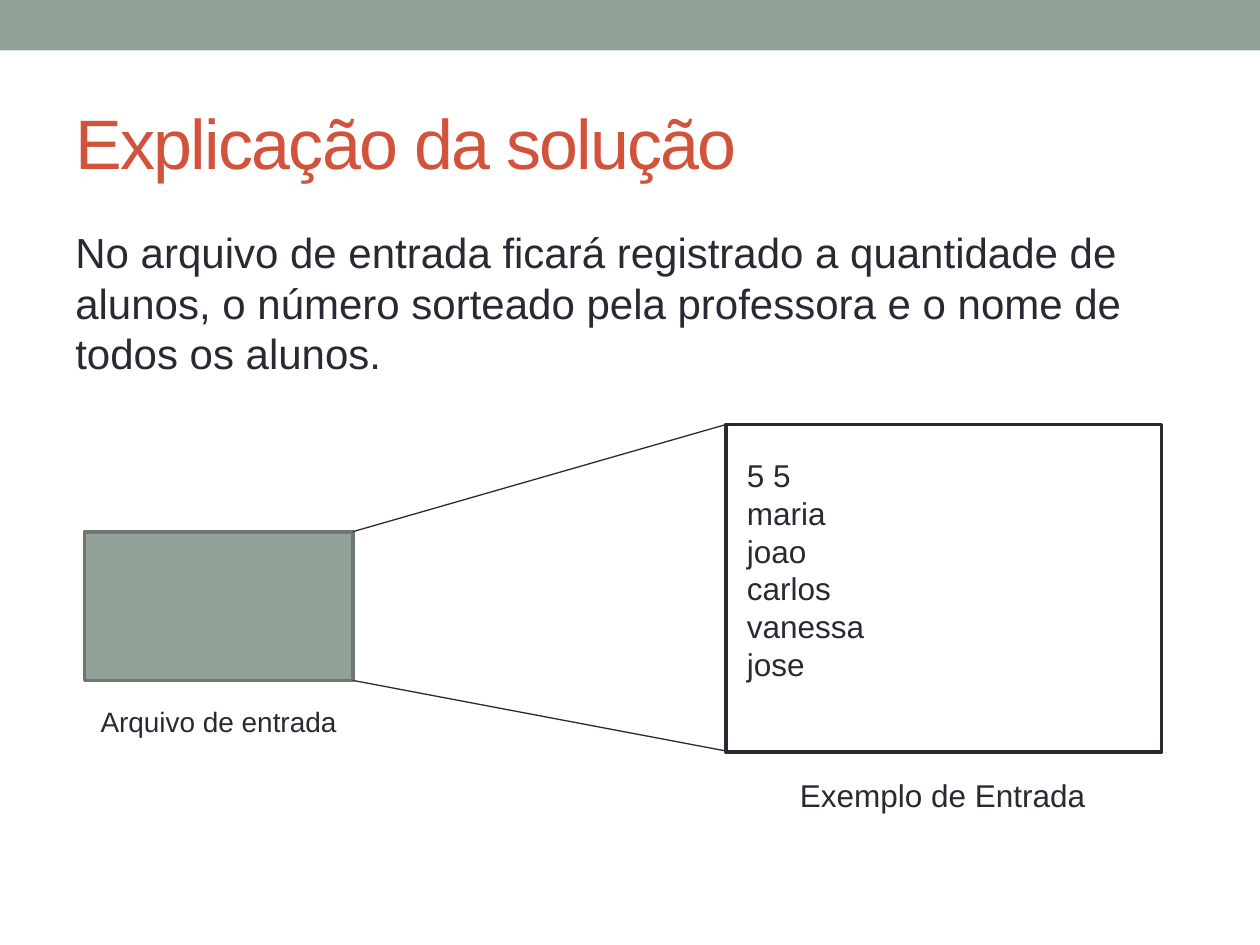
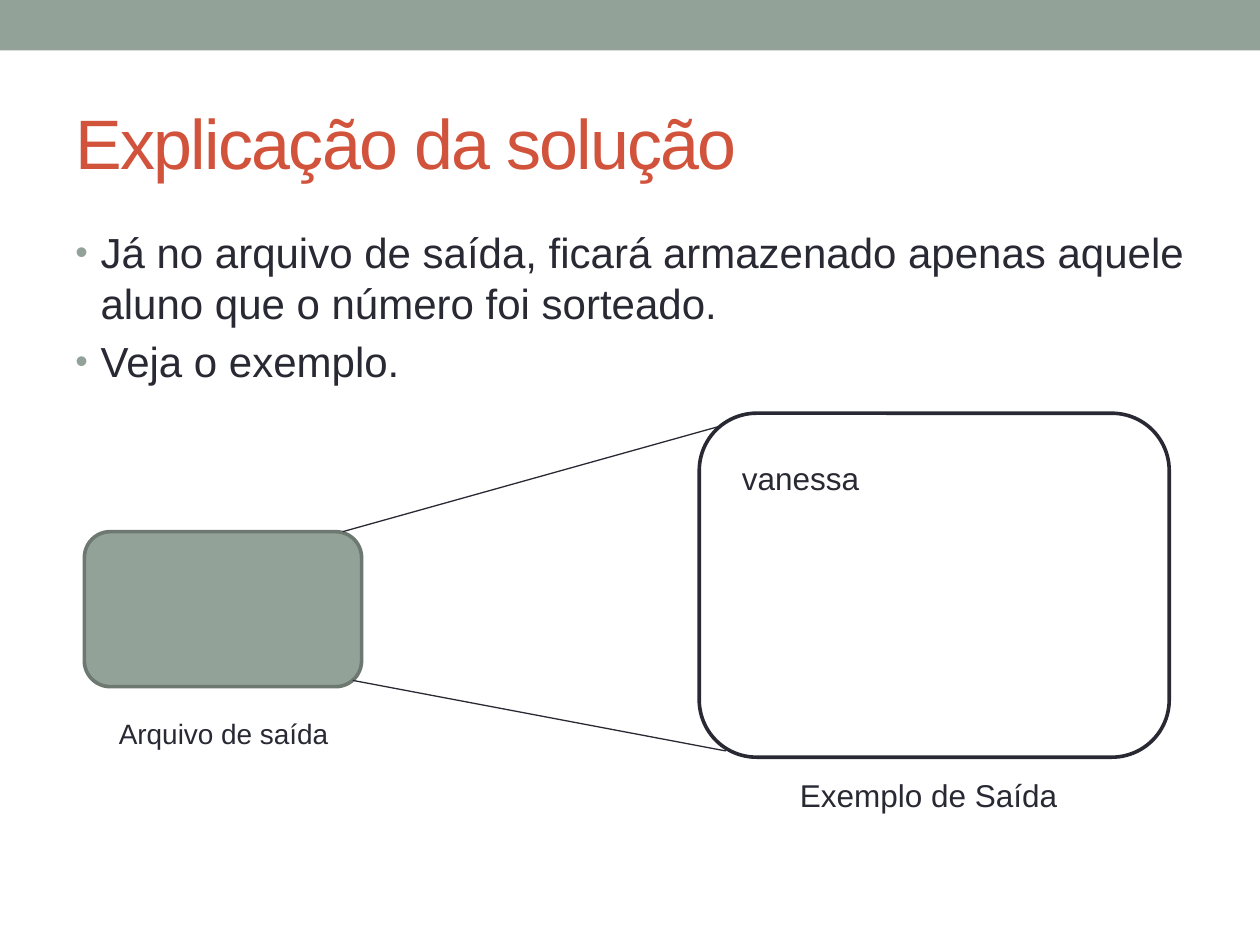
from lxml import etree
from pptx import Presentation
from pptx import util as u
from pptx.dml.color import RGBColor
from pptx.enum import shapes, text
from pptx.oxml.ns import qn

# Content; boxes are (left, top, width, height) in inches
TITLE = "Explicação da solução"
PAGES = [
    dict(
        body=["No arquivo de entrada ficará registrado a quantidade de alunos, "
              "o número sorteado pela professora e o nome de todos os alunos."],
        bullets=False,
        outline=shapes.MSO_SHAPE.RECTANGLE,
        file_box=(0.67, 4.22, 2.13, 1.18),
        file_label=("Arquivo de entrada", (0.67, 5.54, 2.13, 0.37)),
        sample_box=(5.76, 3.37, 3.46, 2.6),
        sample=["5 5", "maria", "joao", "carlos", "vanessa", "jose"],
        sample_at=(5.83, 3.57, 3.3, 1.95),
        sample_label=("Exemplo de Entrada", (6.25, 6.11, 2.49, 0.4)),
        rays=[((2.8, 4.22), (5.76, 3.37)), ((2.8, 5.4), (5.76, 5.96))],
    ),
    dict(
        body=["Já no arquivo de saída, ficará armazenado apenas aquele aluno "
              "que o número foi sorteado.",
              "Veja o exemplo."],
        bullets=True,
        outline=shapes.MSO_SHAPE.ROUNDED_RECTANGLE,
        file_box=(0.67, 4.22, 2.2, 1.23),
        file_label=("Arquivo de saída", (0.71, 5.64, 2.13, 0.37)),
        sample_box=(5.55, 3.28, 3.73, 2.73),
        sample=["vanessa"],
        sample_at=(5.79, 3.59, 1.65, 0.4),
        sample_label=("Exemplo de Saída", (6.25, 6.11, 2.26, 0.4)),
        rays=[((2.72, 4.22), (5.76, 3.37)), ((2.8, 5.4), (5.76, 5.96))],
    ),
]

# Shared style
COLORS = dict(sage="93A299", edge="6D7871", ink="292934", accent="D2533C", paper="FFFFFF")
FONT = "Arial"
WIDTH, HEIGHT = 10, 7.5
BAND = (0, 0, WIDTH, 0.4)
TITLE_BOX = (0.5, 0.58, 9, 1.08)
BODY_BOX = (0.5, 1.75, 9, 5.33)
INDENT = 0.2


def color(name):
    return RGBColor.from_string(COLORS[name])


def inches(values):
    return [u.Inches(value) for value in values]


def write(frame, lines, size, tint="ink", align="LEFT", anchor="TOP",
          before=0, tracking=None, bullets=False, wrap=True):
    """Fill a text frame with one formatted paragraph per line."""
    frame.word_wrap = wrap
    frame.auto_size = text.MSO_AUTO_SIZE.NONE
    frame.vertical_anchor = text.MSO_ANCHOR[anchor]
    for number, line in enumerate(lines):
        para = frame.add_paragraph() if number else frame.paragraphs[0]
        para.alignment = text.PP_ALIGN[align]
        para.space_before = u.Pt(before)
        span = para.add_run()
        span.text = line
        span.font.name, span.font.size = FONT, u.Pt(size)
        span.font.color.rgb = color(tint)
        if tracking:
            span.font._element.set("spc", str(tracking))
        if bullets:
            add_bullet(para)


def add_bullet(para):
    props = para._p.get_or_add_pPr()
    props.set("marL", str(u.Inches(INDENT)))
    props.set("indent", str(-u.Inches(INDENT)))
    tint = etree.SubElement(props, qn("a:buClr"))
    etree.SubElement(tint, qn("a:srgbClr"), val=COLORS["sage"])
    etree.SubElement(props, qn("a:buSzPct"), val="85000")
    etree.SubElement(props, qn("a:buFont"), typeface=FONT)
    etree.SubElement(props, qn("a:buChar"), char="•")


def add_text(page, place, lines, size, **style):
    box = page.shapes.add_textbox(*inches(place))
    write(box.text_frame, lines, size, **style)


def add_box(page, outline, place, fill, edge=None):
    box = page.shapes.add_shape(outline, *inches(place))
    box.shadow.inherit = False
    box.fill.solid()
    box.fill.fore_color.rgb = color(fill)
    if edge:
        box.line.color.rgb = color(edge)
        box.line.width = u.Pt(2.08)
    else:
        box.line.fill.background()


def add_ray(page, start, end):
    ray = page.shapes.add_connector(shapes.MSO_CONNECTOR.STRAIGHT, *inches(start + end))
    ray.line.color.rgb = color("ink")
    ray.line.width = u.Pt(0.75)
    etree.SubElement(ray._element.spPr, qn("a:effectLst"))


def add_page(deck, data):
    page = deck.slides.add_slide(deck.slide_layouts[5])

    # Band, title and body
    add_box(page, shapes.MSO_SHAPE.RECTANGLE, BAND, "sage")
    title = page.shapes.title
    title.left, title.top, title.width, title.height = inches(TITLE_BOX)
    write(title.text_frame, [TITLE], 40, tint="accent", anchor="MIDDLE", tracking=-100)
    add_text(page, BODY_BOX, data["body"], 24, before=4.8, bullets=data["bullets"])

    # File and its enlarged sample
    add_box(page, data["outline"], data["file_box"], "sage", "edge")
    for start, end in data["rays"]:
        add_ray(page, start, end)
    add_box(page, data["outline"], data["sample_box"], "paper", "ink")
    add_text(page, data["sample_at"], data["sample"], 18)

    # Captions
    caption, place = data["file_label"]
    add_text(page, place, [caption], 16, align="CENTER")
    caption, place = data["sample_label"]
    add_text(page, place, [caption], 18, wrap=False)


def main():
    deck = Presentation()
    deck.slide_width, deck.slide_height = inches((WIDTH, HEIGHT))
    for data in PAGES:
        add_page(deck, data)
    deck.save("out.pptx")


if __name__ == "__main__":
    main()
